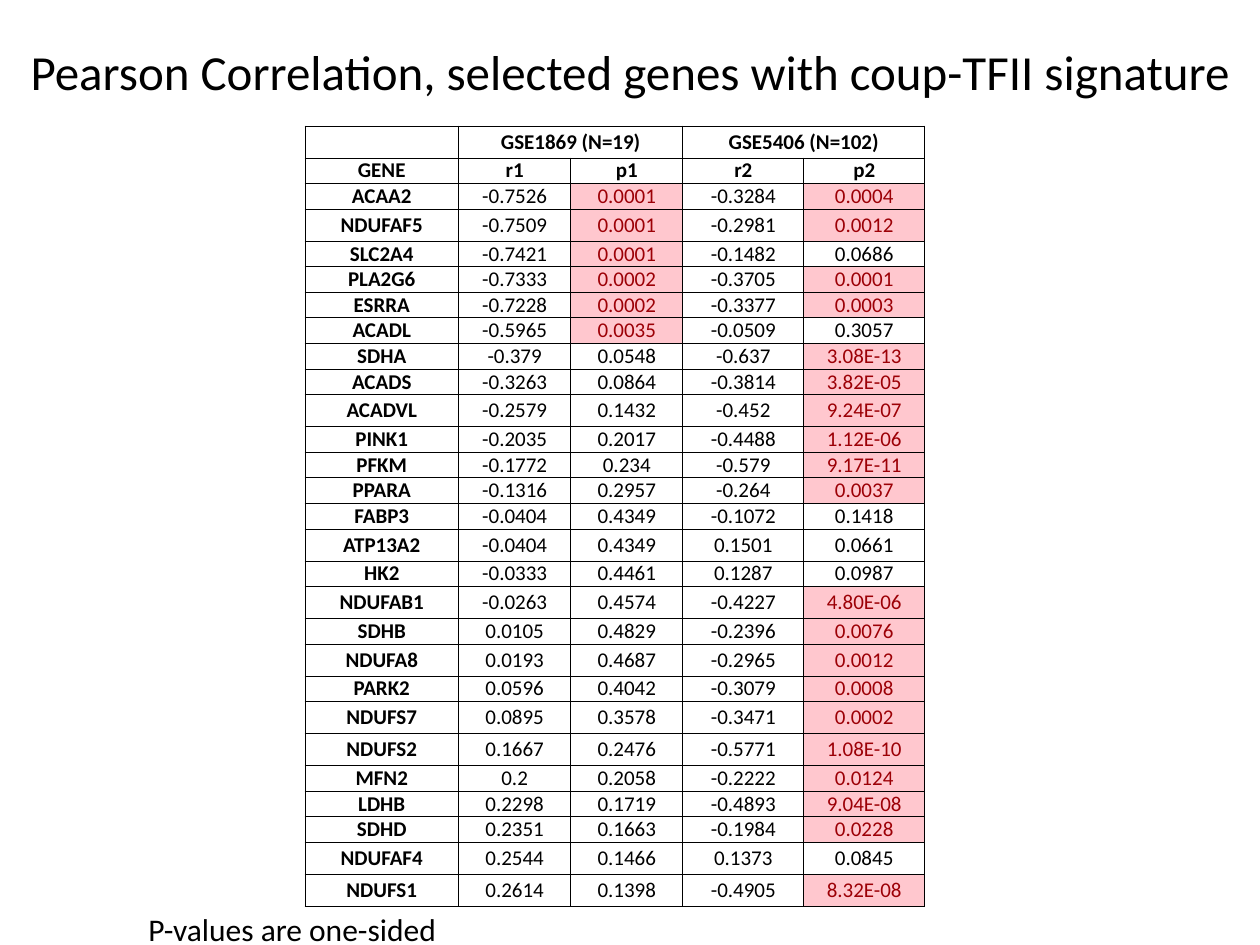
"""Build a slide with a table of gene correlations in two data sets."""
import pptx
import pptx.dml.color
import pptx.enum.text
import pptx.oxml
import pptx.oxml.ns
import pptx.util
import lxml.etree

TITLE = "Pearson Correlation, selected genes with coup-TFII signature"
FOOTNOTE = "P-values are one-sided"
ROWS = [
    ("", "GSE1869 (N=19)", "", "GSE5406 (N=102)", ""),
    ("GENE", "r1", "p1", "r2", "p2"),
    ("ACAA2", "-0.7526", "0.0001", "-0.3284", "0.0004"),
    ("NDUFAF5", "-0.7509", "0.0001", "-0.2981", "0.0012"),
    ("SLC2A4", "-0.7421", "0.0001", "-0.1482", "0.0686"),
    ("PLA2G6", "-0.7333", "0.0002", "-0.3705", "0.0001"),
    ("ESRRA", "-0.7228", "0.0002", "-0.3377", "0.0003"),
    ("ACADL", "-0.5965", "0.0035", "-0.0509", "0.3057"),
    ("SDHA", "-0.379", "0.0548", "-0.637", "3.08E-13"),
    ("ACADS", "-0.3263", "0.0864", "-0.3814", "3.82E-05"),
    ("ACADVL", "-0.2579", "0.1432", "-0.452", "9.24E-07"),
    ("PINK1", "-0.2035", "0.2017", "-0.4488", "1.12E-06"),
    ("PFKM", "-0.1772", "0.234", "-0.579", "9.17E-11"),
    ("PPARA", "-0.1316", "0.2957", "-0.264", "0.0037"),
    ("FABP3", "-0.0404", "0.4349", "-0.1072", "0.1418"),
    ("ATP13A2", "-0.0404", "0.4349", "0.1501", "0.0661"),
    ("HK2", "-0.0333", "0.4461", "0.1287", "0.0987"),
    ("NDUFAB1", "-0.0263", "0.4574", "-0.4227", "4.80E-06"),
    ("SDHB", "0.0105", "0.4829", "-0.2396", "0.0076"),
    ("NDUFA8", "0.0193", "0.4687", "-0.2965", "0.0012"),
    ("PARK2", "0.0596", "0.4042", "-0.3079", "0.0008"),
    ("NDUFS7", "0.0895", "0.3578", "-0.3471", "0.0002"),
    ("NDUFS2", "0.1667", "0.2476", "-0.5771", "1.08E-10"),
    ("MFN2", "0.2", "0.2058", "-0.2222", "0.0124"),
    ("LDHB", "0.2298", "0.1719", "-0.4893", "9.04E-08"),
    ("SDHD", "0.2351", "0.1663", "-0.1984", "0.0228"),
    ("NDUFAF4", "0.2544", "0.1466", "0.1373", "0.0845"),
    ("NDUFS1", "0.2614", "0.1398", "-0.4905", "8.32E-08"),
]
COLUMN_WIDTHS = [1.22, 0.89, 0.89, 0.96, 0.96]
P_COLUMNS = (2, 4)
SIGNIFICANCE = 0.05
TALL_GENES = ("NDUF", "ACADVL", "ATP13A2")
SHORT_ROW, TALL_ROW = pptx.util.Pt(14.65), pptx.util.Pt(18.27)
BLACK, DARK_RED, PINK = "000000", "9C0006", "FFC7CE"
Inches = pptx.util.Inches


def color(value):
    return pptx.dml.color.RGBColor.from_string(value)


def add_text(paragraph, text, size, text_color=BLACK, bold=False):
    run = paragraph.add_run()
    run.text = text
    run.font.name = "Calibri"
    run.font.size = pptx.util.Pt(size)
    run.font.bold = bold
    run.font.color.rgb = color(text_color)


def place(shape, left, top, width, height):
    shape.left, shape.top = Inches(left), Inches(top)
    shape.width, shape.height = Inches(width), Inches(height)


def add_borders(cell):
    properties = cell._tc.get_or_add_tcPr()
    for side in ("lnL", "lnR", "lnT", "lnB"):
        properties.append(pptx.oxml.parse_xml(
            f'<a:{side} {pptx.oxml.ns.nsdecls("a")} w="6350"><a:solidFill>'
            f'<a:srgbClr val="{BLACK}"/></a:solidFill></a:{side}>'))


def fill_cell(cell, text, bold, significant):
    cell.margin_left = cell.margin_right = cell.margin_top = cell.margin_bottom = 0
    cell.vertical_anchor = pptx.enum.text.MSO_ANCHOR.MIDDLE
    add_borders(cell)
    if significant:
        cell.fill.solid()
        cell.fill.fore_color.rgb = color(PINK)
    else:
        cell.fill.background()
    paragraph = cell.text_frame.paragraphs[0]
    paragraph.alignment = pptx.enum.text.PP_ALIGN.CENTER
    if text:
        add_text(paragraph, text, 12, DARK_RED if significant else BLACK, bold)
    else:
        lxml.etree.SubElement(paragraph._p, pptx.oxml.ns.qn("a:endParaRPr"), sz="1200")


presentation = pptx.Presentation()
presentation.slide_width, presentation.slide_height = Inches(10), Inches(7.5)
slide = presentation.slides.add_slide(presentation.slide_layouts[5])

title = slide.shapes.title
place(title, 0, 0.08, 10, 0.97)
title.text_frame.vertical_anchor = pptx.enum.text.MSO_ANCHOR.MIDDLE
title.text_frame.paragraphs[0].alignment = pptx.enum.text.PP_ALIGN.CENTER
add_text(title.text_frame.paragraphs[0], TITLE, 28)

footnote = slide.shapes.add_textbox(0, 0, 0, 0)
place(footnote, 1.08, 7.17, 4.83, 0.4)
footnote.text_frame.word_wrap = True
add_text(footnote.text_frame.paragraphs[0], FOOTNOTE, 18)

table = slide.shapes.add_table(
    len(ROWS), len(COLUMN_WIDTHS), Inches(2.42), Inches(1),
    Inches(sum(COLUMN_WIDTHS)), Inches(6.2)).table
table.first_row = table.horz_banding = False
for column, width in zip(table.columns, COLUMN_WIDTHS):
    column.width = Inches(width)
for row_index, values in enumerate(ROWS):
    is_tall = row_index == 0 or values[0].startswith(TALL_GENES)
    table.rows[row_index].height = TALL_ROW if is_tall else SHORT_ROW
    is_heading = row_index < 2
    for column_index, value in enumerate(values):
        significant = (not is_heading and column_index in P_COLUMNS
                       and float(value) < SIGNIFICANCE)
        fill_cell(table.cell(row_index, column_index), value,
                  is_heading or column_index == 0, significant)
for first in (1, 3):
    table.cell(0, first).merge(table.cell(0, first + 1))

presentation.save("out.pptx")
